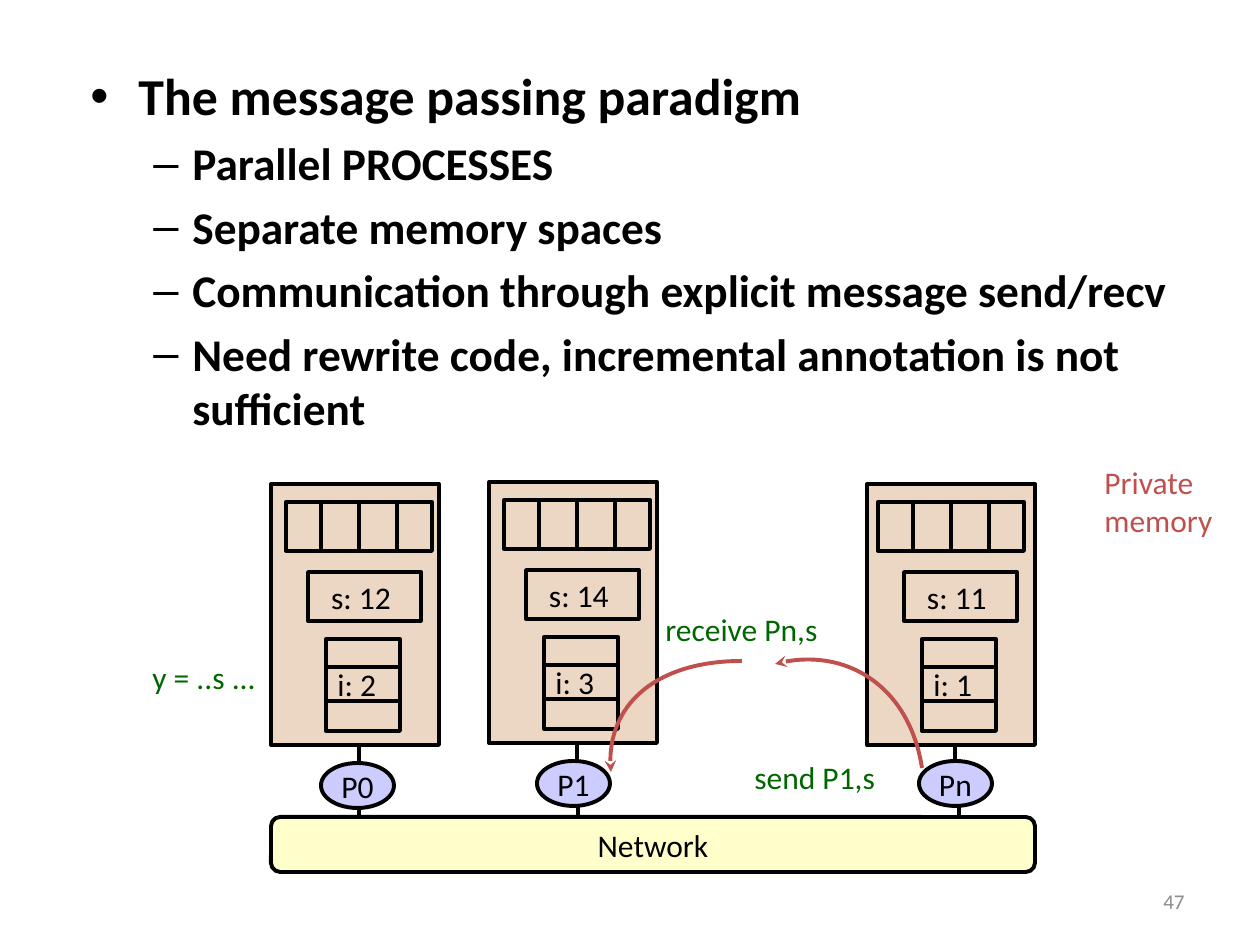
from dataclasses import dataclass

from lxml import etree
from pptx import Presentation
from pptx.dml.color import RGBColor
from pptx.enum.shapes import MSO_CONNECTOR, MSO_SHAPE
from pptx.enum.text import MSO_ANCHOR, PP_ALIGN
from pptx.oxml.ns import qn
from pptx.util import Emu, Pt

PX = 914400 // 126
FONT = "Calibri"
COLORS = {
    "ink": "000000", "memory": "EBD7C3", "process": "CCCCFF",
    "network": "FFFFCC", "code": "006600", "message": "C0504D",
    "number": "8C8C8C",
}
RECT, OVAL, ROUND = MSO_SHAPE.RECTANGLE, MSO_SHAPE.OVAL, MSO_SHAPE.ROUNDED_RECTANGLE
STRAIGHT = MSO_CONNECTOR.STRAIGHT
LEFT, CENTER, RIGHT = PP_ALIGN.LEFT, PP_ALIGN.CENTER, PP_ALIGN.RIGHT
TOP, MIDDLE = MSO_ANCHOR.TOP, MSO_ANCHOR.MIDDLE


@dataclass
class Node:
    name: str
    left: int
    top: int
    array_dx: int
    s: str
    i: str
    oval: tuple[int, int]
    link_x: int


@dataclass
class Label:
    text: str
    box: tuple[int, int, int, int]
    color: str = "code"
    size: float = 18
    align: PP_ALIGN = LEFT
    anchor: MSO_ANCHOR = TOP
    wrap: bool = False


@dataclass
class Bullet:
    text: str
    level: int = 1


NODES = [
    Node("P0", 271, 484, 15, "s: 12 ", "i: 2", (321, 763), 359),
    Node("P1", 489, 482, 15, "s: 14 ", "i: 3", (537, 761), 578),
    Node("Pn", 867, 484, 11, "s: 11 ", "i: 1", (919, 761), 959),
]
LABELS = [
    Label("y = ..s ...", (140, 652, 149, 50)),
    Label("send P1,s", (742, 752, 173, 50)),
    Label("receive Pn,s", (653, 604, 209, 50)),
    Label("Private memory", (1092, 457, 168, 88), "message", wrap=True),
    Label("47", (903, 876, 294, 50), "number", 12, RIGHT, MIDDLE, True),
]
BULLETS = [
    Bullet("The message passing paradigm", 0),
    Bullet("Parallel PROCESSES"),
    Bullet("Separate memory spaces"),
    Bullet("Communication through explicit message send/recv"),
    Bullet("Need rewrite code, incremental annotation is not sufficient"),
]
# Per level: bullet character, text indent in px, hanging indent in px, size
LEVELS = [("•", 48, 48, 29.6), ("–", 102, 39, 25.9)]
# Start (the arrowhead), two control points, end
MESSAGES = [
    ((611, 772), (604, 706), (660, 661), (742, 661)),
    ((775, 664), (845, 645), (910, 690), (922, 768)),
]


def px(*values: int) -> list[Emu]:
    return [Emu(v * PX) for v in values]


def rgb(name: str) -> RGBColor:
    return RGBColor.from_string(COLORS[name])


def put_text(p, text: str, *, size: float = 18, color: str = "ink",
             bold: bool = False, align: PP_ALIGN = LEFT) -> None:
    p.alignment = align
    r = p.add_run()
    r.text = text
    r.font.name, r.font.size, r.font.bold = FONT, Pt(size), bold
    r.font.color.rgb = rgb(color)


def add_box(shapes, kind: MSO_SHAPE, box: tuple[int, int, int, int],
            fill: str = "", text: str = "", width: float = 2.25):
    sp = shapes.add_shape(kind, *px(*box))
    sp.shadow.inherit = False
    if fill:
        sp.fill.solid()
        sp.fill.fore_color.rgb = rgb(fill)
    else:
        sp.fill.background()
    sp.line.color.rgb = rgb("ink")
    sp.line.width = Pt(width)
    if text:
        tf = sp.text_frame
        tf.word_wrap, tf.vertical_anchor = False, MIDDLE
        put_text(tf.paragraphs[0], text, align=CENTER)
    return sp


def add_line(shapes, x1: int, y1: int, x2: int, y2: int) -> None:
    line = shapes.add_connector(STRAIGHT, *px(x1, y1, x2, y2))
    line.line.color.rgb = rgb("ink")
    line.line.width = Pt(2.25)
    etree.SubElement(line._element.spPr, qn("a:effectLst"))


def add_label(shapes, label: Label) -> None:
    tf = shapes.add_textbox(*px(*label.box)).text_frame
    tf.word_wrap, tf.vertical_anchor = label.wrap, label.anchor
    put_text(tf.paragraphs[0], label.text, size=label.size,
             color=label.color, align=label.align)


def add_bullets(shapes, bullets: list[Bullet]) -> None:
    tf = shapes.add_textbox(*px(78, 58, 1143, 355)).text_frame
    tf.word_wrap = True
    for n, bullet in enumerate(bullets):
        p = tf.add_paragraph() if n else tf.paragraphs[0]
        char, indent, hang, size = LEVELS[bullet.level]
        p.level = bullet.level
        if n:
            p.space_before = Pt(size * 0.2)
        pPr = p._p.get_or_add_pPr()
        pPr.set("marL", str(indent * PX))
        pPr.set("indent", str(-hang * PX))
        etree.SubElement(pPr, qn("a:buFont"), typeface="Arial")
        etree.SubElement(pPr, qn("a:buChar"), char=char)
        put_text(p, bullet.text, size=size, bold=True)


def add_node(shapes, node: Node) -> None:
    x, y = node.left, node.top
    add_box(shapes, RECT, (x, y, 168, 261), "memory")
    # Array of four cells
    array_x = x + node.array_dx
    add_box(shapes, RECT, (array_x, y + 18, 146, 49))
    for k in range(3):
        divider = array_x + 35 + 38 * k
        add_line(shapes, divider, y + 18, divider, y + 68)
    # Variables s and i
    add_box(shapes, RECT, (x + 37, y + 88, 113, 49), text=node.s, width=2)
    add_label(shapes, Label(node.i, (x + 54, y + 175, 71, 50), "ink"))
    add_box(shapes, RECT, (x + 55, y + 155, 74, 92))
    for dy in (183, 217):
        add_line(shapes, x + 55, y + dy, x + 129, y + dy)
    # Process and its links to memory and network
    add_line(shapes, x + 88, y + 261, x + 88, y + 277)
    add_line(shapes, node.link_x, 800, node.link_x, 824)
    add_box(shapes, OVAL, (*node.oval, 73, 45), "process", node.name)


def add_message(shapes, points: tuple[tuple[int, int], ...]) -> None:
    builder = shapes.build_freeform(*points[0], scale=PX)
    builder.add_line_segments(points[1:], close=False)
    sp = builder.convert_to_shape()
    sp.shadow.inherit = False
    sp.fill.background()
    sp.line.color.rgb = rgb("message")
    sp.line.width = Pt(2.25)
    # Turn the three segments into one cubic curve
    outline = next(sp._element.iter(qn("a:path")))
    curve = etree.SubElement(outline, qn("a:cubicBezTo"))
    for segment in outline.findall(qn("a:lnTo")):
        curve.append(segment[0])
        outline.remove(segment)
    etree.SubElement(sp.line._get_or_add_ln(), qn("a:headEnd"), type="stealth")


def main() -> None:
    prs = Presentation()
    prs.slide_width, prs.slide_height = px(1260, 945)
    shapes = prs.slides.add_slide(prs.slide_layouts[6]).shapes
    add_bullets(shapes, BULLETS)
    for node in NODES:
        add_node(shapes, node)
    add_box(shapes, ROUND, (271, 817, 764, 55), "network", "Network")
    for points in MESSAGES:
        add_message(shapes, points)
    for label in LABELS:
        add_label(shapes, label)
    prs.save("out.pptx")


if __name__ == "__main__":
    main()
